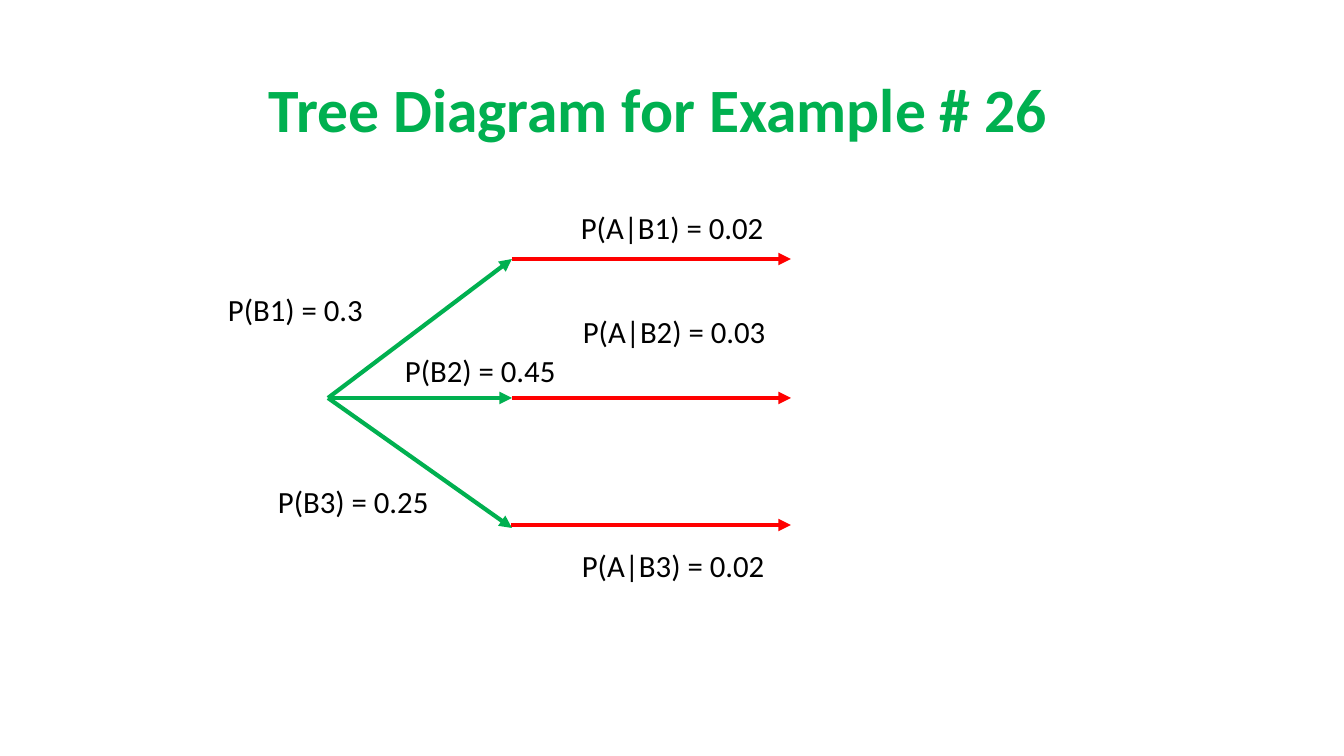
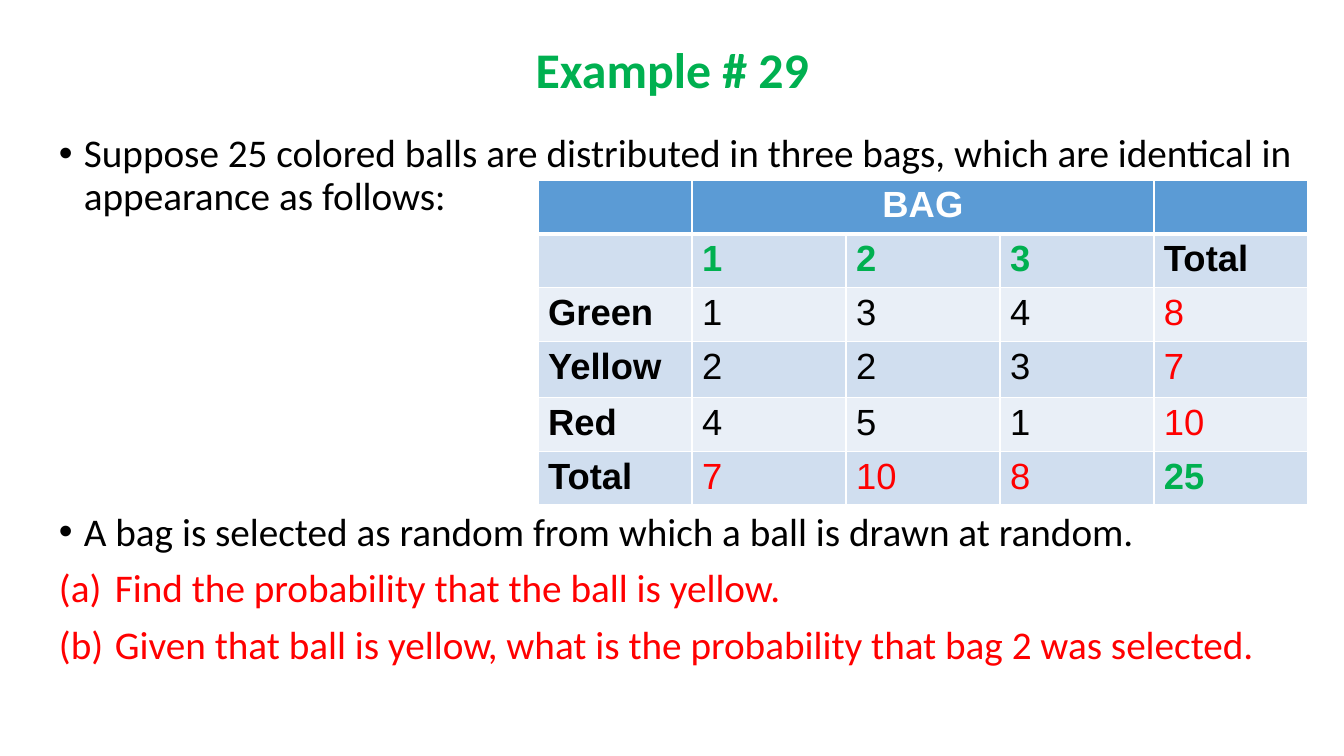
from dataclasses import dataclass
from typing import Optional

from lxml import etree
from pptx import Presentation
from pptx import util as u
from pptx.dml.color import RGBColor
from pptx.enum import shapes, text
from pptx.oxml.ns import qn

# Shared style
SCALE = 914400 / 100.8
COLOURS = {
    "green": "00B050", "red": "FF0000", "black": "000000", "white": "FFFFFF",
    "header": "5B9BD5", "band": "D0DEEF", "light": "E9EFF7",
}
BODY_FONT, TABLE_FONT = "Calibri", "Arial"
TITLE_ONLY = 5
LABEL_HEIGHT = 47


@dataclass(frozen=True)
class Arrow:
    start: tuple[int, int]
    end: tuple[int, int]
    colour: str


@dataclass(frozen=True)
class Label:
    words: str
    left: int
    top: int
    width: int


@dataclass(frozen=True)
class Item:
    words: str
    colour: str
    indent: int
    bullet: tuple[str, str, str]
    before: float


def px(pixels: float) -> u.Emu:
    return u.Emu(round(pixels * SCALE))


def rgb(name: str) -> RGBColor:
    return RGBColor.from_string(COLOURS[name])


def add_colour(parent, tag: str, name: str) -> None:
    holder = etree.SubElement(parent, qn(tag))
    etree.SubElement(holder, qn("a:srgbClr"), val=COLOURS[name])


def add_span(para, words: str, size: float, colour: str,
             bold: bool = False, font: str = BODY_FONT) -> None:
    span = para.add_run()
    span.text = words
    span.font.name = font
    span.font.size = u.Pt(size)
    span.font.bold = bold
    span.font.color.rgb = rgb(colour)


def add_page(deck, title: str, height: int, size: float, right_inset: int = 10):
    page = deck.slides.add_slide(deck.slide_layouts[TITLE_ONLY])
    box = page.shapes.title
    box.left, box.top, box.width, box.height = px(93), px(40), px(1159), px(height)
    frame = box.text_frame
    frame.auto_size = text.MSO_AUTO_SIZE.NONE
    frame.vertical_anchor = text.MSO_ANCHOR.MIDDLE
    frame.margin_right = px(right_inset)
    para = frame.paragraphs[0]
    para.alignment = text.PP_ALIGN.CENTER
    para.line_spacing = 0.9
    add_span(para, title, size, "green", bold=True)
    return page


def add_frame(page, left: int, top: int, width: int, height: int):
    box = page.shapes.add_textbox(px(left), px(top), px(width), px(height))
    box.text_frame.word_wrap = True
    return box.text_frame


def add_arrow(page, arrow: Arrow) -> None:
    line = page.shapes.add_connector(
        shapes.MSO_CONNECTOR.STRAIGHT,
        *(px(value) for value in arrow.start + arrow.end))
    line.line.color.rgb = rgb(arrow.colour)
    line.line.width = u.Pt(3)
    properties = line._element.spPr
    etree.SubElement(properties.find(qn("a:ln")), qn("a:tailEnd"), type="triangle")
    etree.SubElement(properties, qn("a:effectLst"))


def add_label(page, label: Label) -> None:
    frame = add_frame(page, label.left, label.top, label.width, LABEL_HEIGHT)
    add_span(frame.paragraphs[0], label.words, 22, "black")


def add_item(para, item: Item) -> None:
    para.line_spacing = 0.9
    para.space_before = u.Pt(item.before)
    add_span(para, item.words, 28, item.colour)
    properties = para._p.get_or_add_pPr()
    properties.set("marL", str(px(item.indent)))
    properties.set("indent", str(px(-item.indent)))
    add_colour(properties, "a:buClr", item.colour)
    tag, attribute, value = item.bullet
    font = TABLE_FONT if tag == "a:buChar" else BODY_FONT
    etree.SubElement(properties, qn("a:buFont"), typeface=font)
    etree.SubElement(properties, qn(tag), {attribute: value})


def cell_style(row: int, column: int, last_row: int, last_column: int) -> tuple[str, bool]:
    """Return the text colour and weight that a cell's place calls for."""
    if row == 0:
        return "white", True
    if (row, column) == (last_row, last_column):
        return "green", True
    if column == 0 or (row == 1 and column == last_column):
        return "black", True
    if row == 1:
        return "green", True
    return ("red" if row == last_row or column == last_column else "black"), False


def add_borders(cell, row: int) -> None:
    properties = cell._tc.get_or_add_tcPr()
    heavy_edge = {0: "a:lnB", 1: "a:lnT"}.get(row)
    for edge in ("a:lnL", "a:lnR", "a:lnT", "a:lnB"):
        width = u.Pt(3 if edge == heavy_edge else 1)
        line = etree.SubElement(properties, qn(edge), w=str(width))
        add_colour(line, "a:solidFill", "white")


def add_grid(page, rows: list[list[str]], heights: list[int],
             left: int, top: int, column_width: int) -> None:
    count = len(rows[0])
    table = page.shapes.add_table(
        len(rows), count, px(left), px(top),
        px(column_width * count), px(sum(heights))).table
    for column in table.columns:
        column.width = px(column_width)
    for r, (values, height) in enumerate(zip(rows, heights)):
        table.rows[r].height = px(height)
        for c, value in enumerate(values):
            cell = table.cell(r, c)
            add_borders(cell, r)
            cell.fill.solid()
            fill = "header" if r == 0 else ("band" if r % 2 else "light")
            cell.fill.fore_color.rgb = rgb(fill)
            if value:
                colour, bold = cell_style(r, c, len(rows) - 1, count - 1)
                add_span(cell.text_frame.paragraphs[0], value, 26, colour, bold, TABLE_FONT)
    heading = table.cell(0, 1)
    heading.merge(table.cell(0, count - 2))
    heading.text_frame.paragraphs[0].alignment = text.PP_ALIGN.CENTER


deck = Presentation()
deck.slide_width, deck.slide_height = px(1344), px(756)

# Slide 1: probability tree
tree_page = add_page(deck, "Tree Diagram for Example # 26", 146, 44, right_inset=38)
ROOT, TIP_X = (328, 398), 791
FORKS = [(512, 259), (512, 398), (512, 528)]
LEAF_STARTS = [(512, 259), (512, 398), (511, 525)]
branches = [Arrow(ROOT, fork, "green") for fork in FORKS]
leaves = [Arrow(start, (TIP_X, start[1]), "red") for start in LEAF_STARTS]
for arrow in branches + leaves:
    add_arrow(tree_page, arrow)
for label in (
    Label("P(B1) = 0.3", 218, 286, 188),
    Label("P(B2) = 0.45", 395, 347, 176),
    Label("P(B3) = 0.25", 268, 478, 176),
    Label("P(A|B1) = 0.02", 571, 204, 220),
    Label("P(A|B2) = 0.03", 573, 308, 220),
    Label("P(A|B3) = 0.02", 572, 542, 220),
):
    add_label(tree_page, label)

# Slide 2: question with the table of balls
bag_page = add_page(deck, "Example # 29", 64, 35.6)
DOT = ("a:buChar", "char", "•")
LETTER = ("a:buAutoNum", "type", "alphaLcParenBoth")
TABLE_GAP = 210
items = [
    Item("Suppose 25 colored balls are distributed in three bags, which are "
         "identical in appearance as follows:", "black", 25, DOT, 0),
    Item("A bag is selected as random from which a ball is drawn at random.",
         "black", 25, DOT, TABLE_GAP),
    Item("Find the probability that the ball is yellow.", "red", 56, LETTER, 10),
    Item("Given that ball is yellow, what is the probability that bag 2 was selected.",
         "red", 56, LETTER, 10),
]
question = add_frame(bag_page, 49, 129, 1259, 605)
for index, item in enumerate(items):
    add_item(question.add_paragraph() if index else question.paragraphs[0], item)

balls = [
    ["", "BAG", "", "", ""],
    ["", "1", "2", "3", "Total"],
    ["Green", "1", "3", "4", "8"],
    ["Yellow", "2", "2", "3", "7"],
    ["Red", "4", "5", "1", "10"],
    ["Total", "7", "10", "8", "25"],
]
add_grid(bag_page, balls, [53, 53, 54, 56, 53, 53], left=538, top=180, column_width=154)

deck.save("out.pptx")
